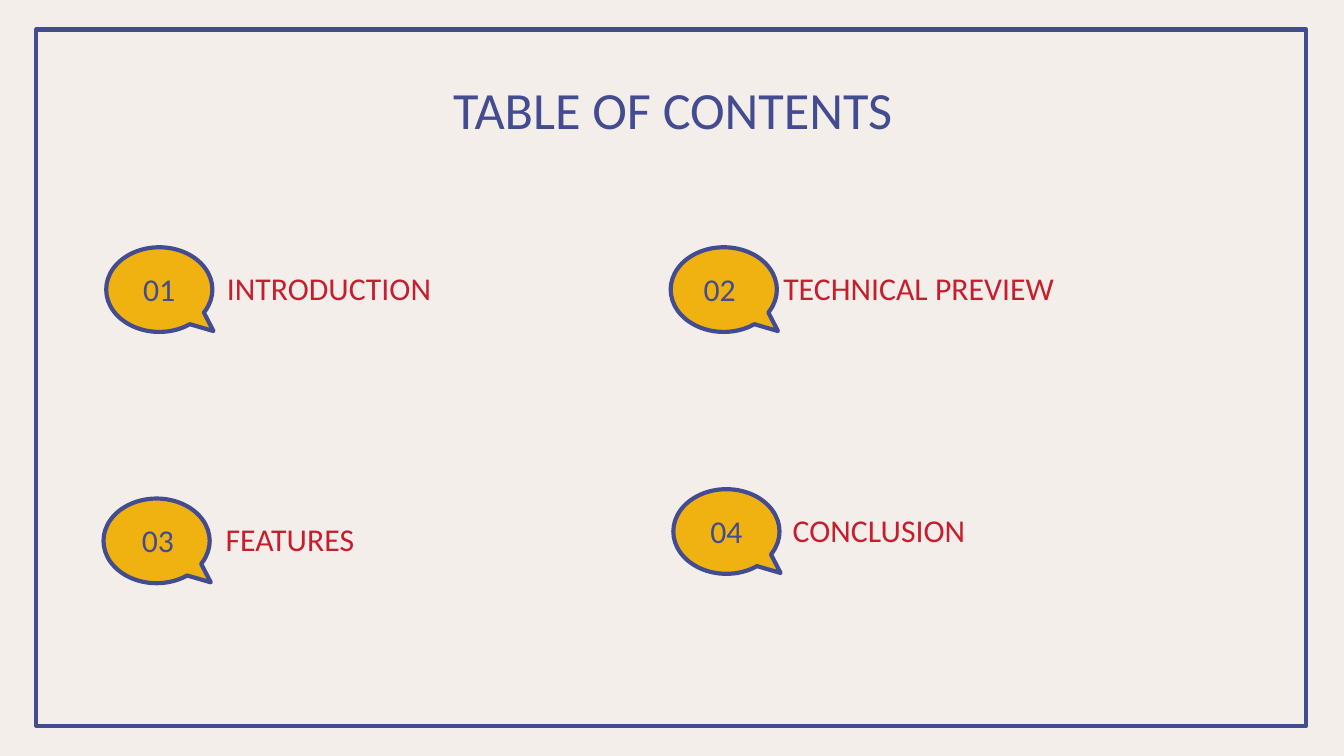
from pptx import Presentation
from pptx.dml.color import RGBColor
from pptx.enum.shapes import MSO_SHAPE
from pptx.enum.text import MSO_ANCHOR, PP_ALIGN
from pptx.util import Inches, Pt

CREAM, NAVY, GOLD, RED = "F3EEEA", "434C91", "F0B211", "C71E2E"

# number, label, bubble left and top, number left, label left and width
ENTRIES = [
    ("01", "INTRODUCTION", 0.79, 1.84, 0.84, 1.59, 3.39),
    ("02", "TECHNICAL PREVIEW", 4.99, 1.84, 5.01, 5.73, 3.5),
    ("03", "FEATURES", 0.77, 3.71, 0.83, 1.58, 1.93),
    ("04", "CONCLUSION", 5.01, 3.64, 5.06, 5.8, 2.48),
]


def color(value):
    return RGBColor.from_string(value)


def apply_format(target, values):
    for name, value in values.items():
        setattr(target, name, value)


def add_outlined(s, kind, box, fill):
    sp = s.shapes.add_shape(kind, *map(Inches, box))
    sp.shadow.inherit = False
    sp.fill.solid()
    sp.fill.fore_color.rgb = color(fill)
    sp.line.color.rgb = color(NAVY)
    sp.line.width = Pt(2.25)
    return sp


def add_text(s, text, box, size, ink, align=PP_ALIGN.LEFT, anchor=MSO_ANCHOR.TOP):
    tf = s.shapes.add_textbox(*map(Inches, box)).text_frame
    sides = ("left", "top", "right", "bottom")
    apply_format(tf, {f"margin_{side}": Inches(0.1) for side in sides})
    apply_format(tf, {"word_wrap": True, "vertical_anchor": anchor})
    p = tf.paragraphs[0]
    p.alignment = align
    r = p.add_run()
    r.text = text
    apply_format(r.font, {"name": "Calibri", "size": Pt(size)})
    r.font.color.rgb = color(ink)


def add_centered(s, text, box, size):
    add_text(s, text, box, size, NAVY, PP_ALIGN.CENTER, MSO_ANCHOR.MIDDLE)


def add_entry(s, number, label, left, top, number_left, label_left, label_width):
    # Speech bubble with its tail at the lower right
    sp = add_outlined(s, MSO_SHAPE.OVAL_CALLOUT, (left, top, 0.79, 0.63), GOLD)
    sp.adjustments[0] = 0.51
    sp.adjustments[1] = 0.49
    # Number and section name
    add_centered(s, number, (number_left, top + 0.11, 0.69, 0.4), 17)
    add_text(s, label, (label_left, top + 0.06, label_width, 0.51), 17, RED)


def main():
    # Widescreen page, 16:9
    prs = Presentation()
    apply_format(prs, {"slide_width": Inches(10), "slide_height": Inches(10 * 9 / 16)})
    s = prs.slides.add_slide(prs.slide_layouts[6])

    # Background and frame
    s.background.fill.solid()
    s.background.fill.fore_color.rgb = color(CREAM)
    add_outlined(s, MSO_SHAPE.RECTANGLE, (0.27, 0.22, 9.45, 5.18), CREAM)

    # Title and contents
    add_centered(s, "TABLE OF CONTENTS", (0.79, 0.49, 8.43, 0.63), 28)
    for entry in ENTRIES:
        add_entry(s, *entry)

    prs.save("out.pptx")


main()
